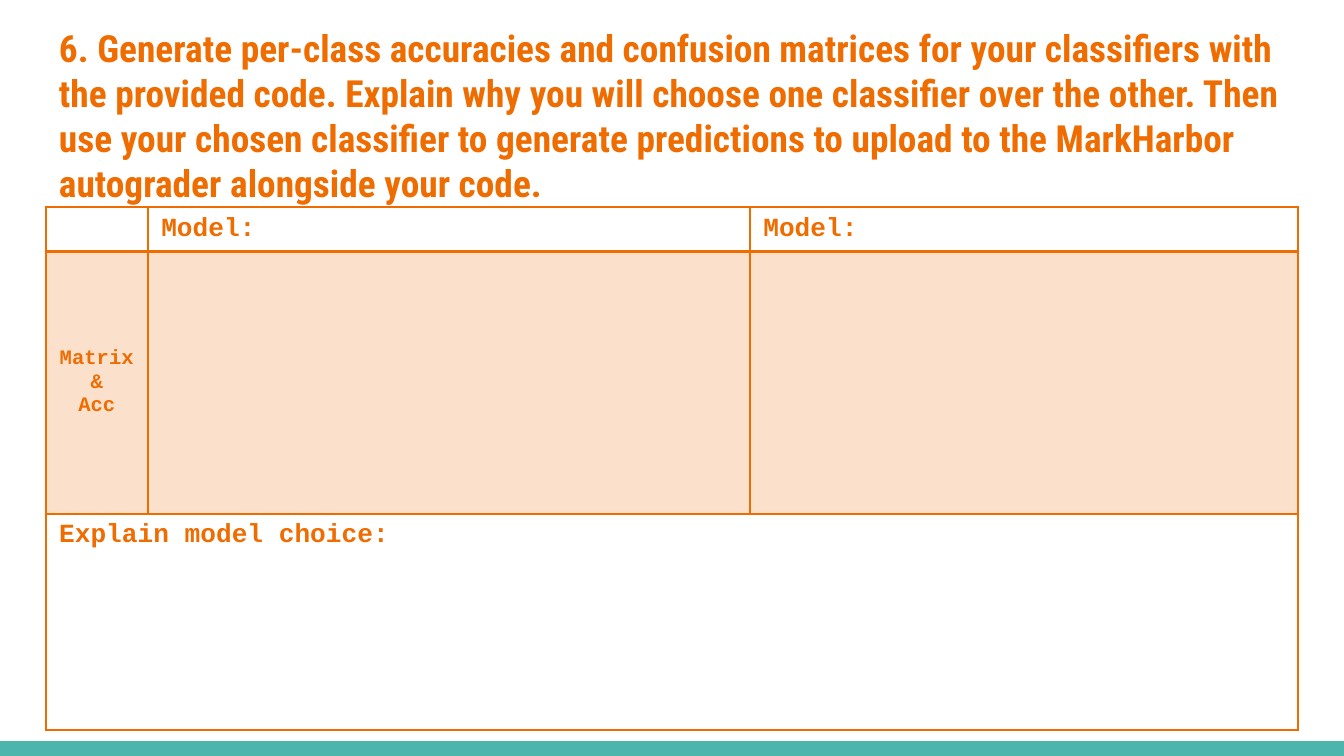
from lxml.etree import SubElement as Sub
from pptx import Presentation
from pptx.dml.color import RGBColor
from pptx.enum.shapes import MSO_SHAPE as Shape
from pptx.enum.text import MSO_ANCHOR as Anchor, PP_ALIGN as Align
from pptx.oxml.ns import qn
from pptx.util import Inches, Pt

ORANGE = RGBColor(0xEF, 0x6C, 0x00)
TEAL = RGBColor(0x4D, 0xB6, 0xAC)
MONO = "Courier New"
HEAD = "Roboto Condensed"

WIDE = Inches(10)
HIGH = WIDE * 9 // 16
TITLE = (
    "6. Generate per-class accuracies and confusion matrices for your "
    "classifiers with the provided code. Explain why you will choose one "
    "classifier over the other. Then use your chosen classifier to generate "
    "predictions to upload to the MarkHarbor autograder alongside your code."
)
COLS = [0.76, 4.48, 4.08]
ROWS = [0.31, 1.95, 1.61]
LEFT, TOP = 0.34, 1.54


def write(frame, text, size=14, font=MONO, align=Align.LEFT):
    """Fill a text frame, one paragraph for each line of text."""
    frame.word_wrap = True
    for i, line in enumerate(text.split("\n")):
        para = frame.add_paragraph() if i else frame.paragraphs[0]
        para.alignment = align
        if not line:
            # An empty cell keeps its row low only with a small end mark
            Sub(para._p, qn("a:endParaRPr"), sz=str(size * 100))
            continue
        run = para.add_run()
        run.text = line
        run.font.size = Pt(size)
        run.font.name = font
        run.font.bold = True
        run.font.color.rgb = ORANGE


def paint(props, alpha=None):
    """Add an orange solid fill, see-through if alpha is given."""
    solid = Sub(props, qn("a:solidFill"))
    color = Sub(solid, qn("a:srgbClr"), val=str(ORANGE))
    if alpha:
        Sub(color, qn("a:alpha"), val=str(alpha * 1000))


def style(cell, tint=None, **widths):
    """Draw the four borders, 1 point unless given, then the fill."""
    props = cell._tc.get_or_add_tcPr()
    for side in "LRTB":
        width = Pt(widths.get(side, 1))
        paint(Sub(props, qn(f"a:ln{side}"), w=str(width)))
    if tint:
        paint(props, tint)
    else:
        cell.fill.background()


def add_title(slide):
    box = slide.shapes.add_textbox(
        Inches(LEFT), Inches(0.09), Inches(9.32), Inches(1.45))
    frame = box.text_frame
    frame.margin_top = frame.margin_bottom = Inches(0.1)
    write(frame, TITLE, size=20, font=HEAD)


def add_bar(slide):
    tall = Inches(0.11)
    bar = slide.shapes.add_shape(
        Shape.RECTANGLE, 0, HIGH - tall, WIDE, tall)
    bar.shadow.inherit = False
    bar.fill.solid()
    bar.fill.fore_color.rgb = TEAL
    bar.line.fill.background()


def add_grid(slide):
    table = slide.shapes.add_table(
        3, 3, Inches(LEFT), Inches(TOP),
        Inches(sum(COLS)), Inches(sum(ROWS))).table
    table.first_row = table.horz_banding = False
    for col, width in zip(table.columns, COLS):
        col.width = Inches(width)
    for row, height in zip(table.rows, ROWS):
        row.height = Inches(height)
    table.cell(2, 0).merge(table.cell(2, 2))

    for cell, text in zip(table.rows[0].cells, ["", "Model:", "Model:"]):
        write(cell.text_frame, text)
        cell.vertical_anchor = Anchor.MIDDLE
        style(cell, B=2)
    for cell, text in zip(table.rows[1].cells, ["Matrix\n&\nAcc", "", ""]):
        write(cell.text_frame, text, size=11, align=Align.CENTER)
        cell.vertical_anchor = Anchor.MIDDLE
        style(cell, tint=20)
    write(table.cell(2, 0).text_frame, "Explain model choice:")
    for cell in table.rows[2].cells:
        style(cell)


def main():
    deck = Presentation()
    deck.slide_width, deck.slide_height = WIDE, HIGH
    slide = deck.slides.add_slide(deck.slide_layouts[6])
    add_bar(slide)
    add_title(slide)
    add_grid(slide)
    deck.save("out.pptx")


if __name__ == "__main__":
    main()
